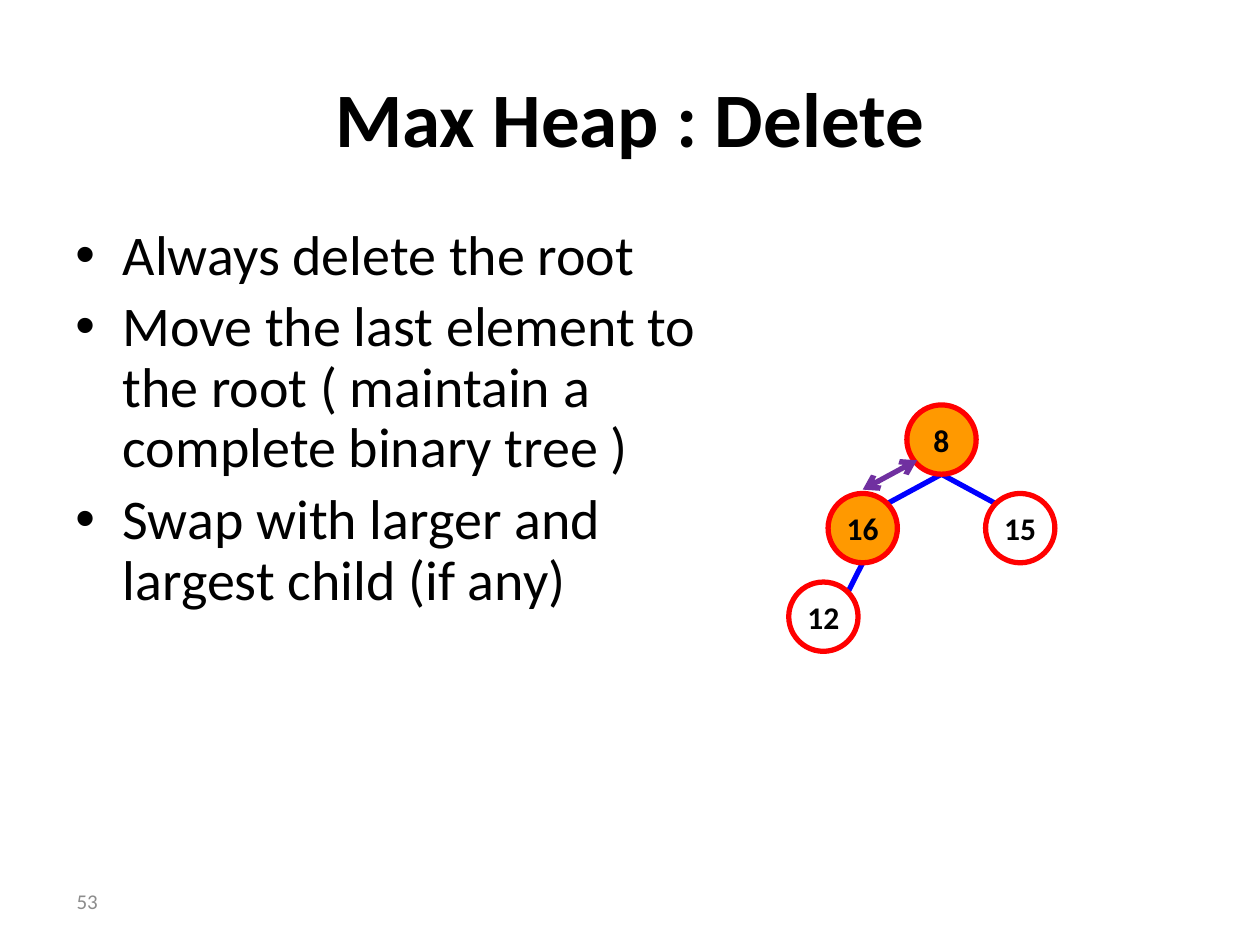
import pptx
import pptx.util
from lxml import etree
from pptx.dml.color import RGBColor
from pptx.enum.shapes import MSO_CONNECTOR, MSO_SHAPE
from pptx.enum.text import MSO_ANCHOR, PP_ALIGN
from pptx.oxml.ns import qn

Pt = pptx.util.Pt

# Content
HEADING = "Max Heap : Delete"
STEPS = [
    "Always delete the root",
    "Move the last element to the root ( maintain a complete binary tree )",
    "Swap with larger and largest child (if any)",
]
PAGE_NUMBER = "53"
# Heap in array order: value and fill (None is unfilled)
HEAP = [("8", "FF9900"), ("16", "FF9900"), ("15", None), ("12", None)]
SWAPPED_CHILD = 1

# Tree measures in points
ROOT_X, ROOT_Y = 538, 251.2
SPREAD, LEVEL_GAP = 45, 50.6
DIAMETER = 39.6
RADIUS = DIAMETER / 2
DIAGONAL = 14  # offset of the 45 degree point on the circle
SWAP_SHIFT = (-14, -8)

HEADING_FONT = {"size": Pt(44), "bold": True, "name": "Calibri"}
STEP_FONT = {"size": Pt(32), "name": "Calibri"}
NODE_FONT = {"size": Pt(18), "bold": True, "name": "Calibri"}
PAGE_FONT = {"size": Pt(12), "name": "Calibri"}
STEP_FORMAT = {"line_spacing": 0.9, "space_before": Pt(6.4)}
NO_MARGINS = dict.fromkeys(
    ("margin_left", "margin_top", "margin_right", "margin_bottom"), 0)


def color(hex_value):
    return RGBColor.from_string(hex_value)


def apply(target, values):
    for name, value in values.items():
        setattr(target, name, value)


def place(shape, left, top, width, height):
    apply(shape, {"left": Pt(left), "top": Pt(top),
                  "width": Pt(width), "height": Pt(height)})


def write(paragraph, words, font, align, ink="000000"):
    run = paragraph.add_run()
    run.text = words
    apply(run.font, font)
    run.font.color.rgb = color(ink)
    paragraph.alignment = align


def add_bullet(paragraph):
    properties = paragraph._p.get_or_add_pPr()
    properties.set("marL", str(Pt(27)))
    properties.set("indent", str(-Pt(27)))
    bullet_font = etree.SubElement(properties, qn("a:buFont"))
    bullet_font.set("typeface", "Arial")
    etree.SubElement(properties, qn("a:buChar")).set("char", "•")


def node_centers(count):
    centers = [(ROOT_X, ROOT_Y)]
    for index in range(1, count):
        x, y = centers[(index - 1) // 2]
        level = (index + 1).bit_length() - 1
        side = -1 if index % 2 else 1
        centers.append((x + side * SPREAD / 2 ** (level - 1), y + LEVEL_GAP))
    return centers


def edge_ends(centers, child):
    """Run from the child's inner shoulder to the bottom of its parent."""
    x, y = centers[child]
    parent_x, parent_y = centers[(child - 1) // 2]
    inward = DIAGONAL if parent_x > x else -DIAGONAL
    return (x + inward, y - DIAGONAL), (parent_x, parent_y + RADIUS)


def add_line(slide, start, end, ink, arrows=False):
    line = slide.shapes.add_connector(
        MSO_CONNECTOR.STRAIGHT, *(Pt(value) for value in (*start, *end)))
    line.line.color.rgb = color(ink)
    line.line.width = Pt(3)
    if arrows:
        outline = line.line._get_or_add_ln()
        for tip in ("a:headEnd", "a:tailEnd"):
            etree.SubElement(outline, qn(tip)).set("type", "arrow")
    etree.SubElement(line._element.spPr, qn("a:effectLst"))


def add_node(slide, center, value, fill):
    x, y = center
    node = slide.shapes.add_shape(
        MSO_SHAPE.OVAL, Pt(x - RADIUS), Pt(y - RADIUS), Pt(DIAMETER), Pt(DIAMETER))
    node.shadow.inherit = False
    if fill:
        node.fill.solid()
        node.fill.fore_color.rgb = color(fill)
    else:
        node.fill.background()
    node.line.color.rgb = color("FF0000")
    node.line.width = Pt(3)
    apply(node.text_frame, {**NO_MARGINS, "word_wrap": False,
                            "vertical_anchor": MSO_ANCHOR.MIDDLE})
    write(node.text_frame.paragraphs[0], value, NODE_FONT, PP_ALIGN.CENTER)


def main():
    deck = pptx.Presentation()
    apply(deck, {"slide_width": Pt(720), "slide_height": Pt(540)})
    slide = deck.slides.add_slide(deck.slide_layouts[5])

    # Title
    heading = slide.shapes.title
    place(heading, 36, 21.6, 648, 90)
    heading.text_frame.vertical_anchor = MSO_ANCHOR.MIDDLE
    write(heading.text_frame.paragraphs[0], HEADING, HEADING_FONT, PP_ALIGN.CENTER)

    # Bulleted steps
    steps = slide.shapes.add_textbox(Pt(36), Pt(126), Pt(397.4), Pt(356.4)).text_frame
    steps.word_wrap = True
    for index, step in enumerate(STEPS):
        paragraph = steps.add_paragraph() if index else steps.paragraphs[0]
        write(paragraph, step, STEP_FONT, PP_ALIGN.LEFT)
        apply(paragraph, STEP_FORMAT)
        add_bullet(paragraph)

    # Heap tree: edges, nodes, then the swap arrow beside its edge
    centers = node_centers(len(HEAP))
    for child in range(1, len(HEAP)):
        add_line(slide, *edge_ends(centers, child), "0000FF")
    for center, (value, fill) in zip(centers, HEAP):
        add_node(slide, center, value, fill)
    swap_ends = [(x + SWAP_SHIFT[0], y + SWAP_SHIFT[1])
                 for x, y in edge_ends(centers, SWAPPED_CHILD)]
    add_line(slide, *swap_ends, "7030A0", arrows=True)

    # Page number
    page = slide.shapes.add_textbox(Pt(7), Pt(500.4), Pt(56), Pt(28.8)).text_frame
    apply(page, {"word_wrap": True, "vertical_anchor": MSO_ANCHOR.MIDDLE})
    write(page.paragraphs[0], PAGE_NUMBER, PAGE_FONT, PP_ALIGN.RIGHT, "8C8C8C")

    deck.save("out.pptx")


if __name__ == "__main__":
    main()
